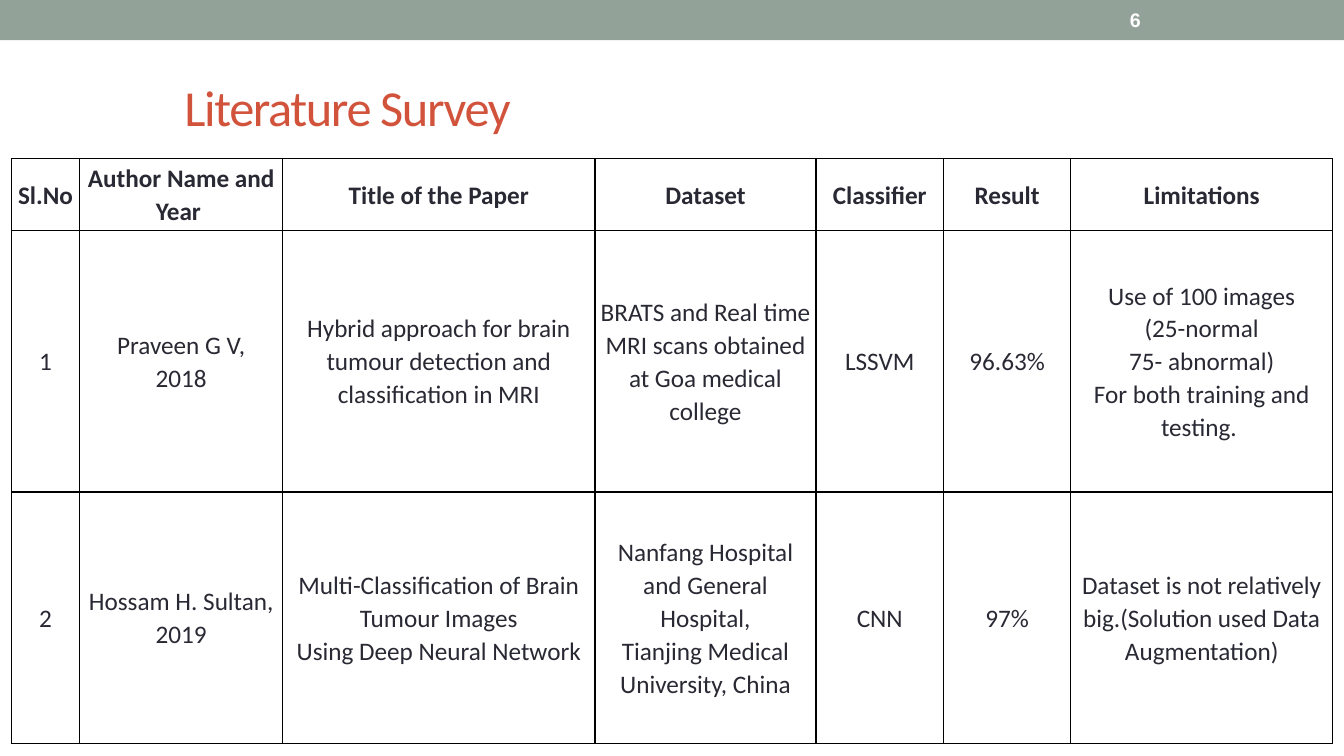
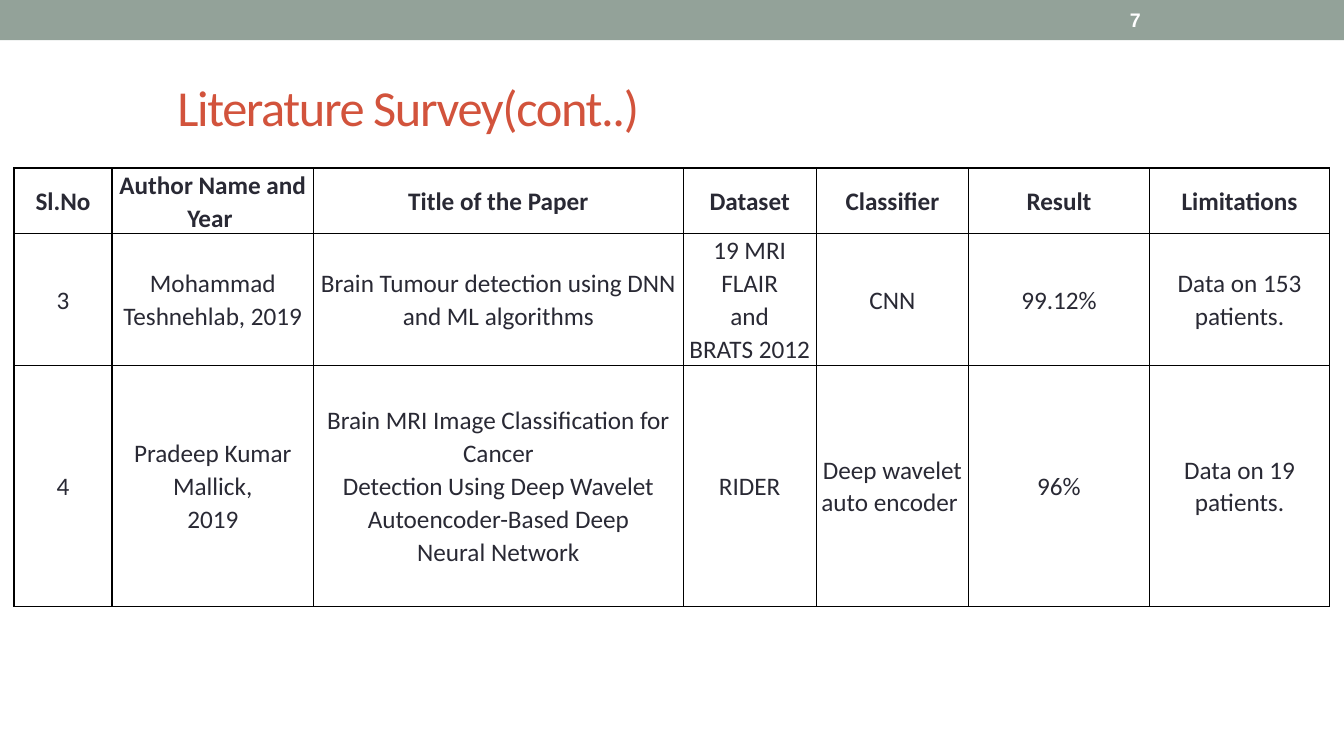
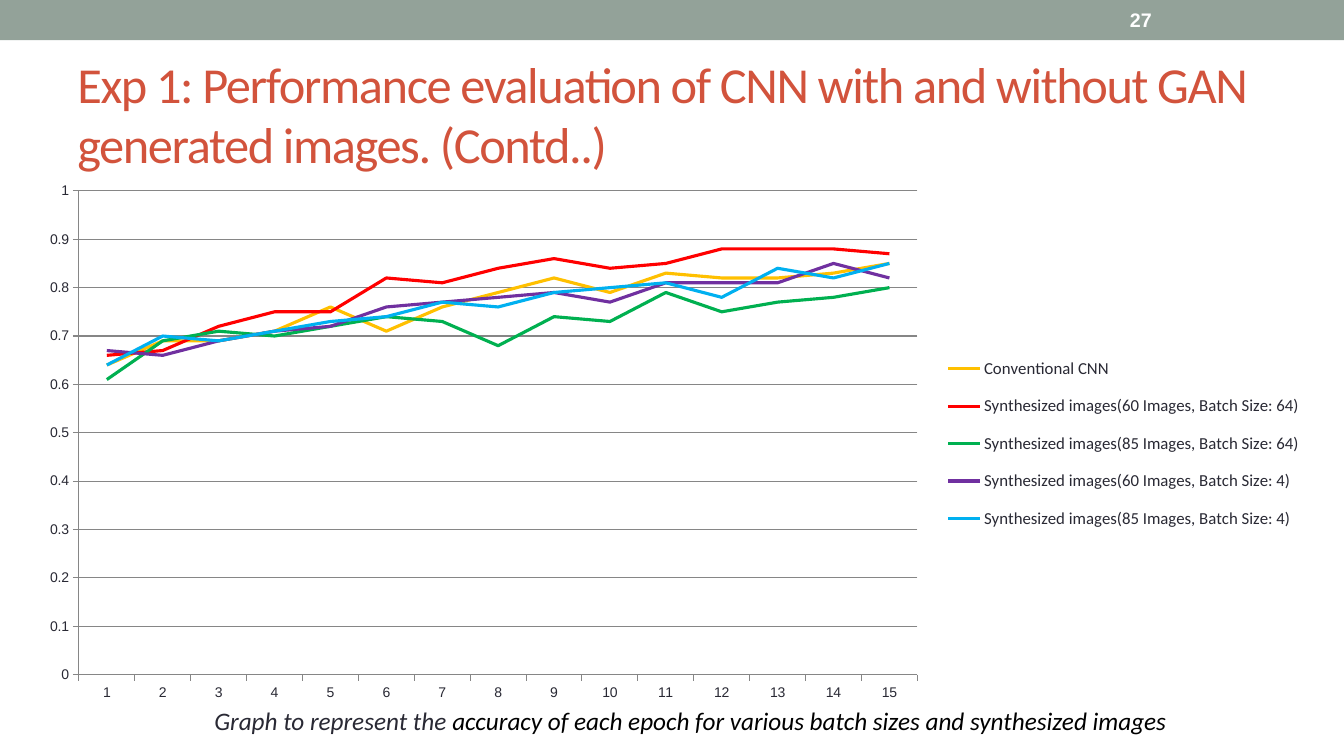
from lxml.etree import SubElement
from pptx import Presentation
from pptx.chart.data import CategoryChartData as ChartData
from pptx.dml.color import RGBColor as RGB
from pptx.enum.chart import XL_CHART_TYPE as Chart, XL_LEGEND_POSITION as Side
from pptx.enum.chart import XL_TICK_MARK as Tick
from pptx.enum.shapes import MSO_SHAPE as Shape
from pptx.enum.text import MSO_ANCHOR as Anchor, MSO_AUTO_SIZE as Fit
from pptx.enum.text import PP_ALIGN as Align
from pptx.oxml import parse_xml
from pptx.oxml.ns import nsdecls, qn
from pptx.util import Pt

HUE = {
    "band": "93A299", "title": "D2533C", "text": "292934", "white": "FFFFFF",
    "black": "000000", "axis": "868686", "gold": "FFC000", "red": "FF0000",
    "green": "00B050", "purple": "7030A0", "blue": "00B0F0",
}
WIDE, HIGH = 960, 540
TITLE = {"name": "Calibri", "size": Pt(36), "bold": False}
PAGE = {"name": "Arial", "size": Pt(14), "bold": True}
HEAD = {"name": "Calibri", "size": Pt(18), "bold": True}
CELL = HEAD | {"bold": False}
NOTE = CELL | {"italic": True}
TICKS = {"name": "Arial", "size": Pt(10)}
KEYS = {"name": "Calibri", "size": Pt(12)}

LABELS = ["Sl.No", "Author Name and Year ", "Title of the Paper", "Dataset",
          "Classifier", "Result", "Limitations"]
SURVEY = [
    ["1", "Praveen G V,\n2018",
     "Hybrid approach for brain tumour detection and classification in MRI",
     "BRATS and Real time MRI scans obtained at Goa medical college",
     "LSSVM", "96.63%",
     "Use of 100 images\n(25-normal\n75- abnormal)\n"
     "For both training and testing. "],
    ["2", "Hossam H. Sultan, 2019",
     "Multi-Classification of Brain Tumour Images\nUsing Deep Neural Network",
     "Nanfang Hospital and General Hospital,\n"
     "Tianjing Medical University, China",
     "CNN", "97%",
     "Dataset is not relatively big.(Solution used Data Augmentation)"],
]
MORE = [
    ["3", "Mohammad Teshnehlab, 2019",
     "Brain Tumour detection using DNN and ML algorithms",
     "19 MRI FLAIR\nand\nBRATS 2012", "CNN", "99.12%",
     "Data on 153 patients."],
    ["4", "Pradeep Kumar Mallick,\n2019",
     "Brain MRI Image Classification for Cancer\n"
     "Detection Using Deep Wavelet\nAutoencoder-Based Deep\nNeural Network",
     "RIDER", "Deep wavelet auto encoder ", "96%", "Data on 19 patients."],
]
SCORES = [
    ("Conventional CNN", "gold",
     [.64, .69, .69, .71, .76, .71, .76, .79, .82, .79, .83, .82, .82, .83, .85]),
    ("Synthesized images(60 Images, Batch Size: 64)", "red",
     [.66, .67, .72, .75, .75, .82, .81, .84, .86, .84, .85, .88, .88, .88, .87]),
    ("Synthesized images(85 Images, Batch Size: 64)", "green",
     [.61, .69, .71, .7, .72, .74, .73, .68, .74, .73, .79, .75, .77, .78, .8]),
    ("Synthesized images(60 Images, Batch Size: 4)", "purple",
     [.67, .66, .69, .71, .72, .76, .77, .78, .79, .77, .81, .81, .81, .85, .82]),
    ("Synthesized images(85 Images, Batch Size: 4)", "blue",
     [.64, .7, .69, .71, .73, .74, .77, .76, .79, .8, .81, .78, .84, .82, .85]),
]


def tint(name):
    return RGB.from_string(HUE[name])


def assign(obj, **vals):
    for key, val in vals.items():
        setattr(obj, key, val)


def style(font, form, hue):
    assign(font, **form)
    font.color.rgb = tint(hue)


def stroke(line, hue, width):
    line.color.rgb = tint(hue)
    line.width = Pt(width)


def write(para, text, form, hue):
    run = para.add_run()
    run.text = text
    style(run.font, form, hue)
    return run


def add_band(slide, box, page):
    """Draw the top band with the page number near its right end."""
    left, top, width, height = box
    band = slide.shapes.add_shape(Shape.RECTANGLE, *map(Pt, box))
    band.shadow.inherit = False
    band.fill.solid()
    band.fill.fore_color.rgb = tint("band")
    band.line.fill.background()
    spot = (left + width - 160, top + 1.5, 112, height - 3)
    frame = slide.shapes.add_textbox(*map(Pt, spot)).text_frame
    assign(frame, word_wrap=True, vertical_anchor=Anchor.MIDDLE)
    write(frame.paragraphs[0], page, PAGE, "white")


def set_title(slide, box, text):
    head = slide.shapes.title
    assign(head, **dict(zip(("left", "top", "width", "height"), map(Pt, box))))
    frame = head.text_frame
    assign(frame, word_wrap=True, auto_size=Fit.NONE,
           vertical_anchor=Anchor.MIDDLE)
    para = frame.paragraphs[0]
    para.alignment = Align.LEFT
    run = write(para, text, TITLE, "title")
    run.font._element.set("spc", "-100")


def add_edges(cell):
    props = cell._tc.get_or_add_tcPr()
    for spot, side in enumerate("LRTB"):
        props.insert(spot, parse_xml(
            f'<a:ln{side} {nsdecls("a")} w="{Pt(1)}"><a:solidFill>'
            f'<a:srgbClr val="{HUE["black"]}"/></a:solidFill></a:ln{side}>'))


def fill_cell(cell, text, form, inset):
    cell.fill.background()
    add_edges(cell)
    assign(cell, margin_left=Pt(inset), margin_right=Pt(inset), margin_top=0,
           margin_bottom=0, vertical_anchor=Anchor.MIDDLE)
    frame = cell.text_frame
    for num, line in enumerate(text.split("\n")):
        para = frame.add_paragraph() if num else frame.paragraphs[0]
        assign(para, alignment=Align.CENTER, line_spacing=1.07)
        write(para, line, form, "text")


def add_grid(slide, spot, cols, rows, papers):
    """Place a survey table whose size follows from its columns and rows."""
    size = (*spot, sum(cols), sum(rows))
    grid = slide.shapes.add_table(len(rows), len(cols), *map(Pt, size)).table
    assign(grid, first_row=False, horz_banding=False)
    for col, width in zip(grid.columns, cols):
        col.width = Pt(width)
    for row, height in zip(grid.rows, rows):
        row.height = Pt(height)
    for r, texts in enumerate([LABELS, *papers]):
        for c, text in enumerate(texts):
            wide = r and c == len(cols) - 1
            fill_cell(grid.cell(r, c), text, CELL if r else HEAD,
                      5 if wide else 3.6)


def set_layout(part, area, inner=False):
    """Fix a chart part to an area given in fractions of the chart."""
    for old in part.findall(qn("c:layout")):
        part.remove(old)
    lay = parse_xml(f'<c:layout {nsdecls("c")}><c:manualLayout/></c:layout>')
    vals = [("layoutTarget", "inner")] if inner else []
    vals += [("xMode", "edge"), ("yMode", "edge"), *zip("xywh", area)]
    for tag, val in vals:
        SubElement(lay[0], qn(f"c:{tag}")).set("val", str(val))
    part.insert(0 if inner else 1, lay)


def add_graph(slide, box):
    data = ChartData()
    data.categories = [str(n) for n in range(1, 16)]
    for name, _, vals in SCORES:
        data.add_series(name, vals)
    chart = slide.shapes.add_chart(Chart.LINE, *map(Pt, box), data).chart
    assign(chart, has_title=False, has_legend=True)
    style(chart.font, TICKS, "text")
    plot = chart.plots[0]
    plot.vary_by_categories = False
    for line, (_, hue, _) in zip(plot.series, SCORES):
        line.smooth = False
        stroke(line.format.line, hue, 2.25)

    key = chart.legend
    assign(key, position=Side.RIGHT, include_in_layout=False)
    style(key.font, KEYS, "text")

    axis = chart.value_axis
    assign(axis, minimum_scale=0, maximum_scale=1, major_unit=.1,
           has_major_gridlines=True)
    assign(axis.tick_labels, number_format="General",
           number_format_is_linked=False)
    for each in (axis, chart.category_axis):
        assign(each, major_tick_mark=Tick.OUTSIDE, minor_tick_mark=Tick.NONE)
        stroke(each.format.line, "axis", .75)
    stroke(axis.major_gridlines.format.line, "axis", .75)

    root = chart.element
    set_layout(root.find(".//" + qn("c:plotArea")), (.04, .04, .65, .9), True)
    set_layout(root.find(".//" + qn("c:legend")), (.71, .32, .28, .38))


def add_note(slide, box, parts):
    frame = slide.shapes.add_textbox(*map(Pt, box)).text_frame
    frame.word_wrap = False
    for text, hue in parts:
        write(frame.paragraphs[0], text, NOTE, hue)


def new_slide(deck, page, box, title):
    slide = deck.slides.add_slide(deck.slide_layouts[5])
    add_band(slide, (0, 0, WIDE, 28.8), page)
    set_title(slide, box, title)
    return slide


def main():
    deck = Presentation()
    assign(deck, slide_width=Pt(WIDE), slide_height=Pt(HIGH))

    slide = new_slide(deck, "6", (124.5, 49, 781, 53.5), "Literature Survey")
    add_grid(slide, (8, 113.5), (49, 145, 223, 158, 91, 91, 187),
             (51, 187, 179.5), SURVEY)

    slide = new_slide(deck, "7", (119.5, 49, 786, 54),
                      "Literature Survey(cont..)")
    add_grid(slide, (10, 120), (70, 144, 264, 95, 109, 129, 129),
             (47, 94, 172), MORE)

    slide = new_slide(deck, "27", (48, 42, 864, 78),
                      "Exp 1: Performance evaluation of CNN with and without "
                      "GAN generated images. (Contd..)")
    add_graph(slide, (19.5, 121, 921.5, 384))
    add_note(slide, (146, 500, 709, 36), [
        ("Graph to represent the ", "text"),
        ("accuracy of each epoch for various batch sizes and synthesized "
         "images", "black")])

    deck.save("out.pptx")


if __name__ == "__main__":
    main()
